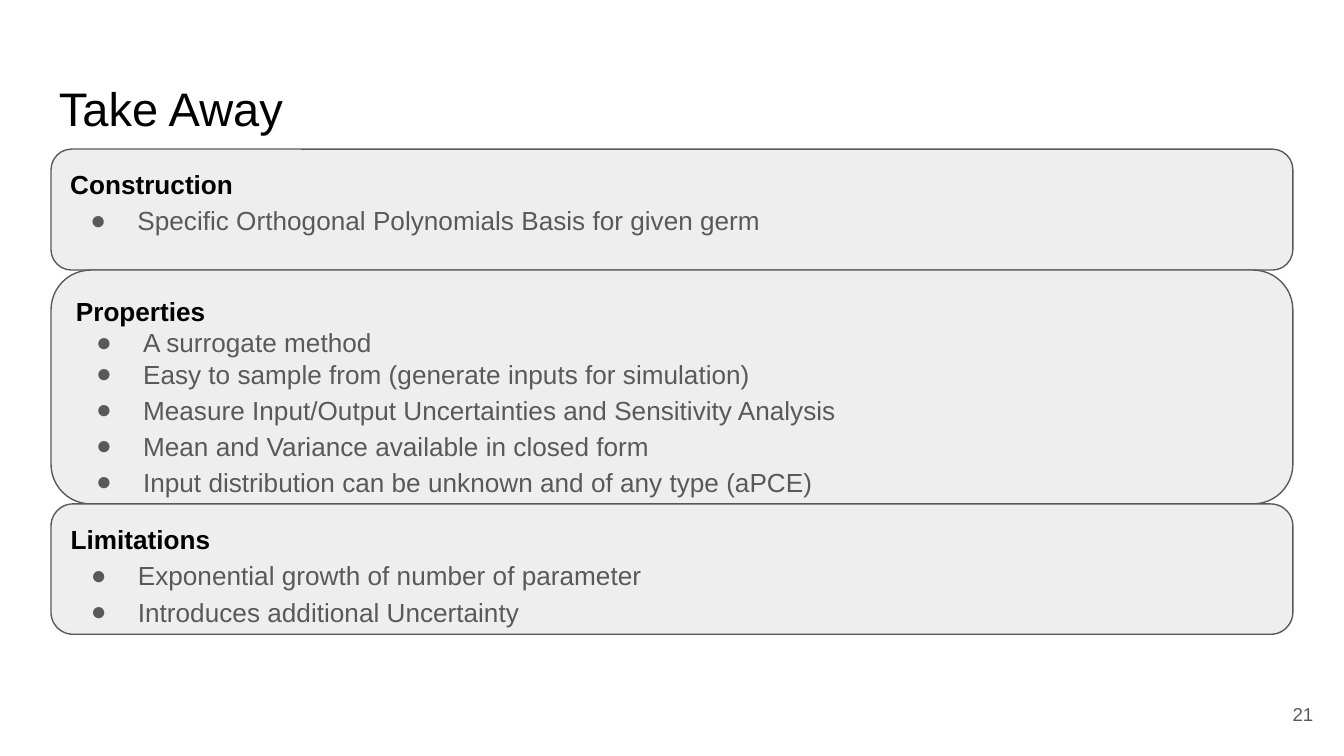
from lxml import etree
from pptx import Presentation
from pptx.dml.color import RGBColor
from pptx.enum.shapes import MSO_SHAPE
from pptx.enum.text import MSO_ANCHOR, PP_ALIGN
from pptx.oxml.ns import qn
from pptx.util import Inches, Pt

ROUNDED = MSO_SHAPE.ROUNDED_RECTANGLE
TOP, MIDDLE = MSO_ANCHOR.TOP, MSO_ANCHOR.MIDDLE
LEFT, RIGHT = PP_ALIGN.LEFT, PP_ALIGN.RIGHT
COLORS = {"heading": "000000", "body": "595959", "panel": "EEEEEE"}


def prepare_frame(shape, anchor=TOP):
    frame = shape.text_frame
    frame.word_wrap = True
    frame.vertical_anchor = anchor
    frame.margin_left = frame.margin_right = Inches(0.1)
    frame.margin_top = frame.margin_bottom = Inches(0.1)
    return frame


def write(paragraph, text, size, color, bold=False, align=LEFT):
    paragraph.alignment = align
    run = paragraph.add_run()
    run.text = text
    run.font.name = "Arial"
    run.font.size = Pt(size)
    run.font.bold = bold
    run.font.color.rgb = RGBColor.from_string(COLORS[color])


prs = Presentation()
prs.slide_width = Inches(10)
prs.slide_height = Inches(10 * 9 / 16)
slide = prs.slides.add_slide(prs.slide_layouts[6])

title = slide.shapes.add_textbox(Inches(0.34), Inches(0.49), Inches(9.32), Inches(0.63))
write(prepare_frame(title).paragraphs[0], "Take Away", 25.2, "heading")

page_number = slide.shapes.add_textbox(Inches(9.27), Inches(5.1), Inches(0.6), Inches(0.43))
write(prepare_frame(page_number, MIDDLE).paragraphs[0], "21", 10, "body", align=RIGHT)

sections = [
    ("Construction", 0.9, [
        ("Specific Orthogonal Polynomials Basis for given germ", 1.15),
    ]),
    ("Properties", 1.74, [
        ("A surrogate method", 1.0),
        ("Easy to sample from (generate inputs for simulation)", 1.0),
        ("Measure Input/Output Uncertainties and Sensitivity Analysis", 1.15),
        ("Mean and Variance available in closed form", 1.15),
        ("Input distribution can be unknown and of any type (aPCE)", 1.15),
    ]),
    ("Limitations", 0.97, [
        ("Exponential growth of number of parameter", 1.15),
        ("Introduces additional Uncertainty", 1.15),
    ]),
]

top = 1.11
for heading, height, points in sections:
    panel = slide.shapes.add_shape(ROUNDED, Inches(0.38), Inches(top), Inches(9.24), Inches(height))
    panel.adjustments[0] = 0.17
    panel.shadow.inherit = False
    panel.fill.solid()
    panel.fill.fore_color.rgb = RGBColor.from_string(COLORS["panel"])
    panel.line.color.rgb = RGBColor.from_string(COLORS["body"])
    panel.line.width = Pt(0.75)
    frame = prepare_frame(panel)
    write(frame.paragraphs[0], heading, 14, "heading", bold=True)

    for point, spacing in points:
        paragraph = frame.add_paragraph()
        properties = paragraph._p.get_or_add_pPr()
        properties.set("marL", str(Inches(0.5)))
        properties.set("indent", str(Inches(-0.35)))
        bullet_color = etree.SubElement(properties, qn("a:buClr"))
        etree.SubElement(bullet_color, qn("a:srgbClr"), val=COLORS["body"])
        etree.SubElement(properties, qn("a:buFont"), typeface="Arial")
        etree.SubElement(properties, qn("a:buChar"), char="●")
        paragraph.line_spacing = spacing
        write(paragraph, point, 14, "body")
    top += height

prs.save("out.pptx")
